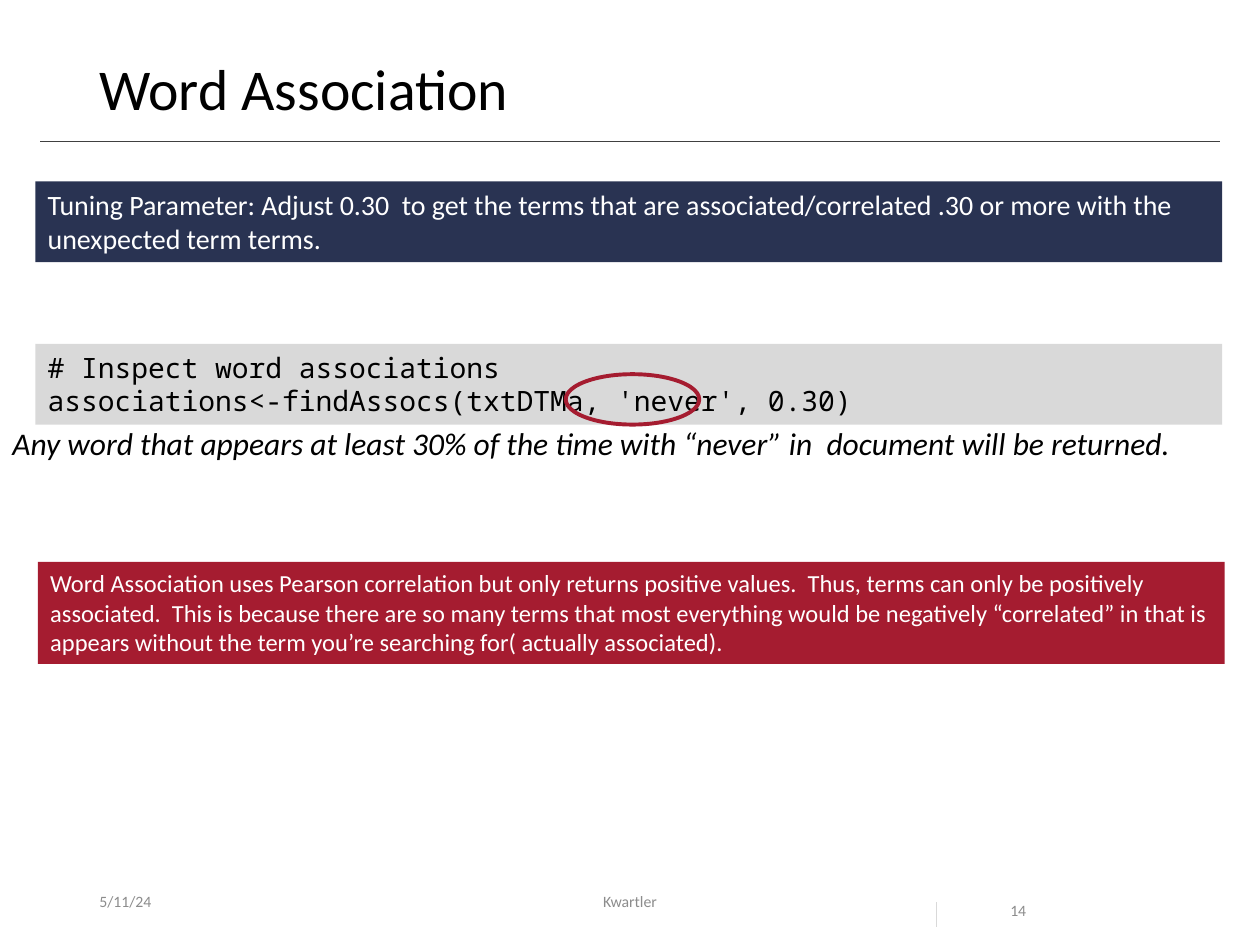
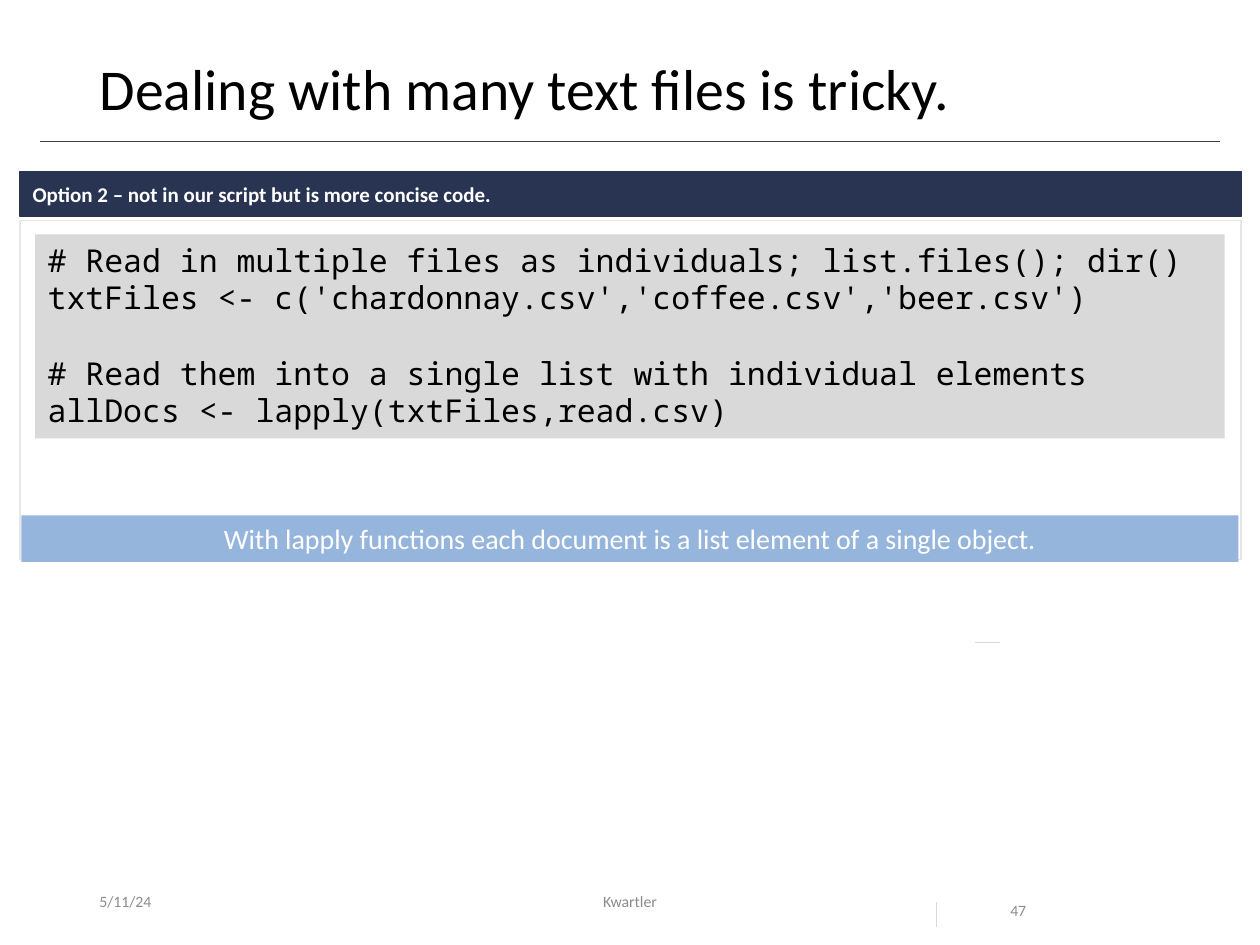
import lxml.etree
import pptx
import pptx.dml.color
import pptx.enum.shapes
import pptx.enum.text
import pptx.oxml.ns
import pptx.util
from dataclasses import dataclass

PX = 9144  # EMU in one px, 100 px to the inch
SHAPE = pptx.enum.shapes.MSO_SHAPE
ALIGN = pptx.enum.text.PP_ALIGN
ANCHOR = pptx.enum.text.MSO_ANCHOR


@dataclass(frozen=True)
class Theme:
    body: str = "Calibri"
    mono: str = "Noto Sans Mono"
    black: str = "000000"
    white: str = "FFFFFF"
    navy: str = "293352"
    crimson: str = "A51C30"
    sky: str = "95B5DC"
    code_fill: str = "D9D9D9"
    panel_line: str = "E7E6E6"
    title_rule: str = "404040"
    tick: str = "D9D9D9"
    footer: str = "8C8C8C"
    title_size: int = 33
    large: int = 18
    medium: int = 16
    small: int = 14
    label: int = 12
    footer_size: int = 9
    code_gap: float = 21.4


THEME = Theme()

TITLE_BOX = (69, 40, 862, 65)
TITLE_RULE = (32, 112, 968, 112)
FOOTER_TICK = (743, 716, 743, 736)
DATE_BOX, AUTHOR_BOX, NUMBER_BOX = (69, 695, 225, 40), (331, 695, 338, 40), (792, 695, 94, 40)
DATE, AUTHOR = "5/11/24", "Kwartler"

CODE = dict(fill=THEME.code_fill, color=THEME.black, font=THEME.mono)

SLIDES = [
    dict(
        title="Word Association",
        number="14",
        ticks=[FOOTER_TICK],
        boxes=[
            dict(box=(30, 446, 942, 81), fill=THEME.crimson, size=THEME.small, blocks=[[
                "Word Association uses Pearson correlation but only returns positive values.  Thus, terms "
                "can only be positively associated.  This is because there are so many terms that most "
                "everything would be negatively “correlated” in that is appears without the term you’re "
                "searching for( actually associated)."]]),
            dict(CODE, box=(28, 273, 942, 64), size=THEME.medium, blocks=[[
                "# Inspect word associations",
                "associations<-findAssocs(txtDTMa, 'never', 0.30)"]]),
            dict(box=(449, 297, 106, 40), kind=SHAPE.OVAL, line=THEME.crimson, weight=2.25),
            dict(box=(28, 144, 942, 64), fill=THEME.navy, size=THEME.medium, blocks=[[
                "Tuning Parameter: Adjust 0.30  to get the terms that are associated/correlated .30 or "
                "more with the unexpected term terms."]]),
            dict(box=(0, 332, 950, 40), size=THEME.large, color=THEME.black, italic=True, blocks=[[
                "Any word that appears at least 30% of the time with “never” in  document will be "
                "returned."]]),
        ],
    ),
    dict(
        title="Dealing with many text files is tricky.",
        number="47",
        ticks=[FOOTER_TICK, (774, 510, 794, 510)],
        boxes=[
            dict(box=(16, 175, 969, 269), fill=THEME.white, line=THEME.panel_line),
            dict(box=(16, 136, 969, 36), fill=THEME.navy, line=THEME.navy, size=THEME.label,
                 bold=True, anchor=ANCHOR.MIDDLE,
                 blocks=[["Option 2 – not in our script but is more concise code."]]),
            dict(CODE, box=(28, 186, 944, 162), size=THEME.large, blocks=[
                ["# Read in multiple files as individuals; list.files(); dir()",
                 "txtFiles <- c('chardonnay.csv','coffee.csv','beer.csv')"],
                ["# Read them into a single list with individual elements",
                 "allDocs <- lapply(txtFiles,read.csv)"]]),
            dict(box=(17, 409, 966, 37), fill=THEME.sky, size=THEME.medium, align=ALIGN.CENTER, blocks=[[
                "With lapply functions each document is a list element of a single object."]]),
        ],
    ),
]


def emu(lengths):
    return [length * PX for length in lengths]


def rgb(color):
    return pptx.dml.color.RGBColor.from_string(color)


def write(text_frame, blocks, size, color=THEME.white, font=THEME.body, bold=False, italic=False,
          align=ALIGN.LEFT, anchor=ANCHOR.TOP, spacing=None):
    """Fill a frame with blocks of lines; each later block is set off by a gap."""
    text_frame.word_wrap = True
    text_frame.auto_size = pptx.enum.text.MSO_AUTO_SIZE.NONE
    text_frame.vertical_anchor = anchor
    text_frame.text = "\n".join(line for block in blocks for line in block)
    for paragraph in text_frame.paragraphs:
        paragraph.alignment = align
        paragraph.line_spacing = spacing
        for run in paragraph.runs:
            run.font.name, run.font.size = font, pptx.util.Pt(size)
            run.font.bold, run.font.italic = bold, italic
            run.font.color.rgb = rgb(color)
    first_line = 0
    for block in blocks[:-1]:
        first_line += len(block)
        text_frame.paragraphs[first_line].space_before = pptx.util.Pt(THEME.code_gap)


def add_box(slide, box, kind=SHAPE.RECTANGLE, fill=None, line=None, weight=0.75, blocks=None, **style):
    if not fill and not line:
        shape = slide.shapes.add_textbox(*emu(box))
    else:
        shape = slide.shapes.add_shape(kind, *emu(box))
        shape.shadow.inherit = False
        if fill:
            shape.fill.solid()
            shape.fill.fore_color.rgb = rgb(fill)
        else:
            shape.fill.background()
        if line:
            shape.line.color.rgb = rgb(line)
            shape.line.width = pptx.util.Pt(weight)
        else:
            shape.line.fill.background()
    if blocks:
        write(shape.text_frame, blocks, **style)


def add_line(slide, ends, color):
    connector = slide.shapes.add_connector(pptx.enum.shapes.MSO_CONNECTOR.STRAIGHT, *emu(ends))
    connector.line.color.rgb = rgb(color)
    connector.line.width = pptx.util.Pt(0.5)
    lxml.etree.SubElement(connector._element.spPr, pptx.oxml.ns.qn("a:effectLst"))


def add_frame(slide, title, number):
    """Add the title, its rule and the footer that every slide carries."""
    add_line(slide, TITLE_RULE, THEME.title_rule)
    heading = slide.shapes.title
    heading.left, heading.top, heading.width, heading.height = emu(TITLE_BOX)
    write(heading.text_frame, [[title]], THEME.title_size, THEME.black,
          anchor=ANCHOR.MIDDLE, spacing=0.9)
    footer = dict(size=THEME.footer_size, color=THEME.footer)
    add_box(slide, DATE_BOX, blocks=[[DATE]], anchor=ANCHOR.MIDDLE, **footer)
    add_box(slide, AUTHOR_BOX, blocks=[[AUTHOR]], anchor=ANCHOR.MIDDLE, align=ALIGN.CENTER, **footer)
    add_box(slide, NUMBER_BOX, blocks=[[number]], spacing=2.0, **footer)


def main():
    presentation = pptx.Presentation()
    presentation.slide_width, presentation.slide_height = emu((1000, 750))
    title_only = presentation.slide_layouts[5]
    for content in SLIDES:
        slide = presentation.slides.add_slide(title_only)
        add_frame(slide, content["title"], content["number"])
        for box in content["boxes"]:
            add_box(slide, **box)
        for tick in content["ticks"]:
            add_line(slide, tick, THEME.tick)
    presentation.save("out.pptx")


if __name__ == "__main__":
    main()
